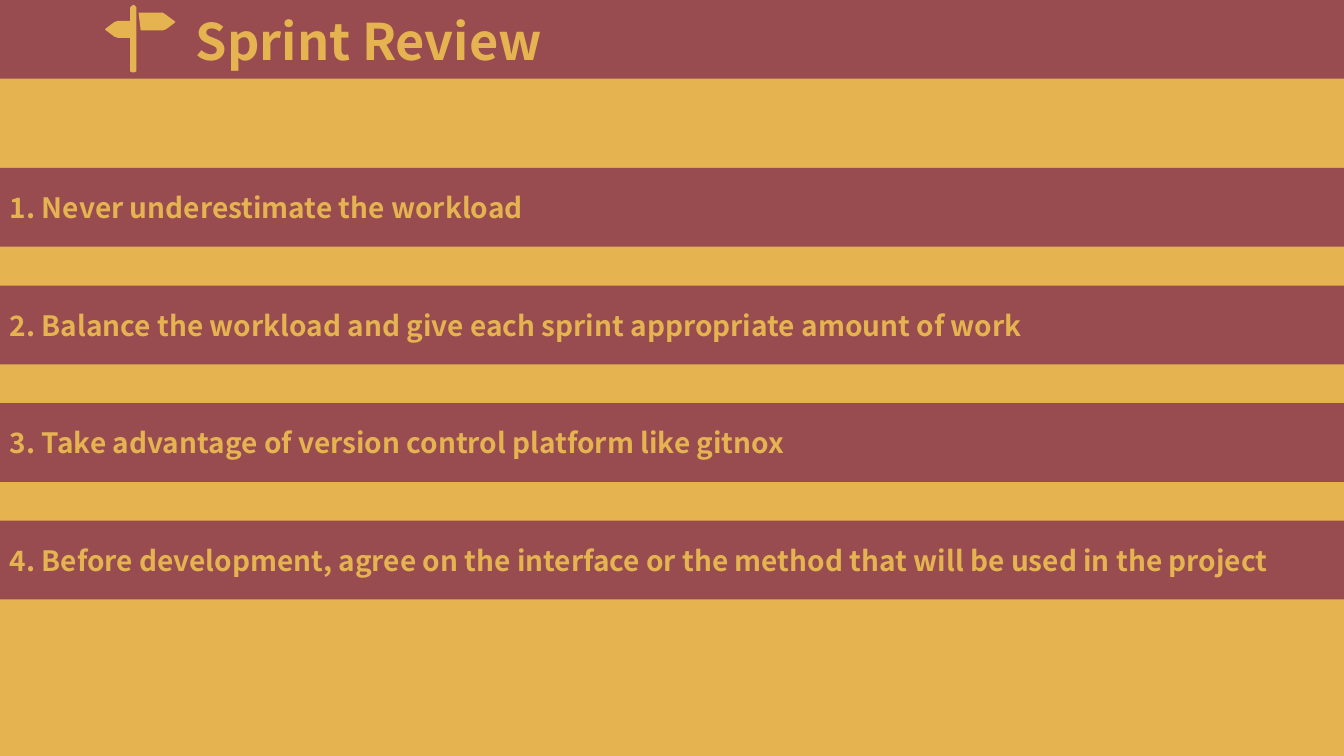
from dataclasses import dataclass

from pptx import Presentation
from pptx.dml.color import RGBColor
from pptx.enum.shapes import MSO_SHAPE
from pptx.enum.text import MSO_ANCHOR as ANCHOR, PP_ALIGN as ALIGN
from pptx.util import Pt

PX = 9525


@dataclass(frozen=True)
class Theme:
    gold: RGBColor = RGBColor(0xE5, 0xB3, 0x50)
    wine: RGBColor = RGBColor(0x98, 0x4C, 0x50)
    font: str = "Noto Sans CJK SC"
    title_size: int = 36
    body_size: int = 20


THEME = Theme()
WIDTH, HEIGHT = 1280, 720
BAND_HEIGHT = 75
FIRST_BAND, BAND_STEP = 160, 112
LESSONS = [
    "Never underestimate the workload",
    "Balance the workload and give each sprint appropriate amount of work",
    "Take advantage of version control platform like gitnox",
    "Before development, agree on the interface or the method that will be used in the project",
]
RIGHT_BOARD = [(132, 12), (155, 12), (158, 14), (166, 20), (167, 21),
               (166, 22), (158, 28), (155, 29), (134, 29)]
POST_AND_LEFT_BOARD = [(126, 5), (128, 5), (130, 7), (130, 68), (128, 69), (126, 69),
                       (124, 68), (124, 36), (112, 36), (109, 35), (101, 29), (100, 28),
                       (101, 27), (109, 21), (112, 20), (124, 20), (124, 7)]


def write(s, text, *, size, align=ALIGN.LEFT, anchor=ANCHOR.TOP):
    tf = s.text_frame
    tf.word_wrap = True
    tf.vertical_anchor = anchor
    p = tf.paragraphs[0]
    p.alignment = align
    p.line_spacing = 1.0
    p.space_before = Pt(0)
    r = p.add_run()
    r.text = text
    r.font.name = THEME.font
    r.font.size = Pt(size)
    r.font.bold = True
    r.font.color.rgb = THEME.gold


def paint(s, color):
    s.shadow.inherit = False
    s.fill.solid()
    s.fill.fore_color.rgb = color
    s.line.fill.background()


def add_band(slide, top):
    s = slide.shapes.add_shape(MSO_SHAPE.RECTANGLE, 0, top * PX, WIDTH * PX, BAND_HEIGHT * PX)
    paint(s, THEME.wine)
    return s


def add_signpost(slide):
    builder = slide.shapes.build_freeform(*RIGHT_BOARD[0], scale=PX)
    builder.add_line_segments(RIGHT_BOARD[1:], close=True)
    builder.move_to(*POST_AND_LEFT_BOARD[0])
    builder.add_line_segments(POST_AND_LEFT_BOARD[1:], close=True)
    paint(builder.convert_to_shape(), THEME.gold)


def add_title(slide, text):
    s = slide.shapes.title
    s.left, s.top, s.width, s.height = 177 * PX, 5 * PX, 998 * PX, 68 * PX
    write(s, text, size=THEME.title_size)
    slide.shapes._spTree.append(s._element)


def main():
    prs = Presentation()
    prs.slide_width, prs.slide_height = WIDTH * PX, HEIGHT * PX
    slide = prs.slides.add_slide(prs.slide_layouts[5])
    slide.background.fill.solid()
    slide.background.fill.fore_color.rgb = THEME.gold

    add_band(slide, 0)
    add_signpost(slide)
    add_title(slide, "Sprint Review")
    for i, lesson in enumerate(LESSONS):
        s = add_band(slide, FIRST_BAND + i * BAND_STEP)
        write(s, f"{i + 1}. {lesson}", size=THEME.body_size,
              align=ALIGN.JUSTIFY, anchor=ANCHOR.MIDDLE)

    prs.save("out.pptx")


if __name__ == "__main__":
    main()
